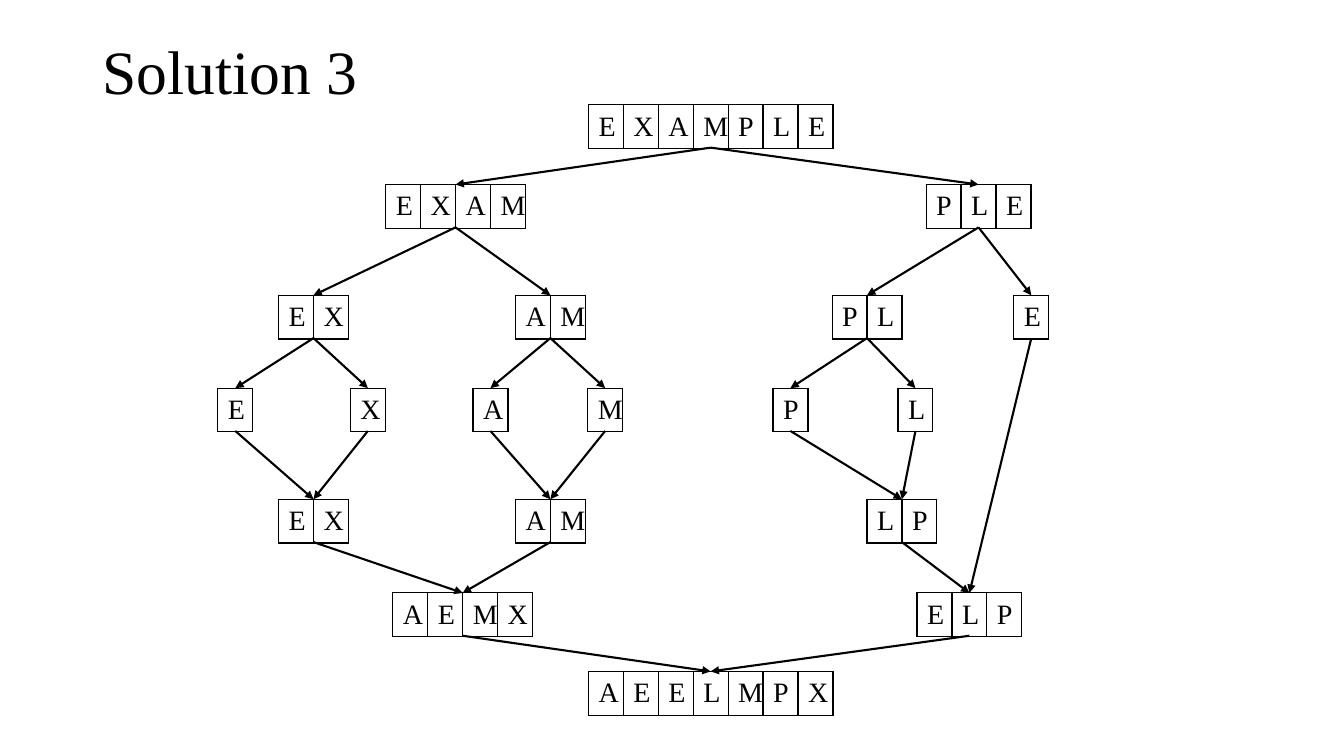
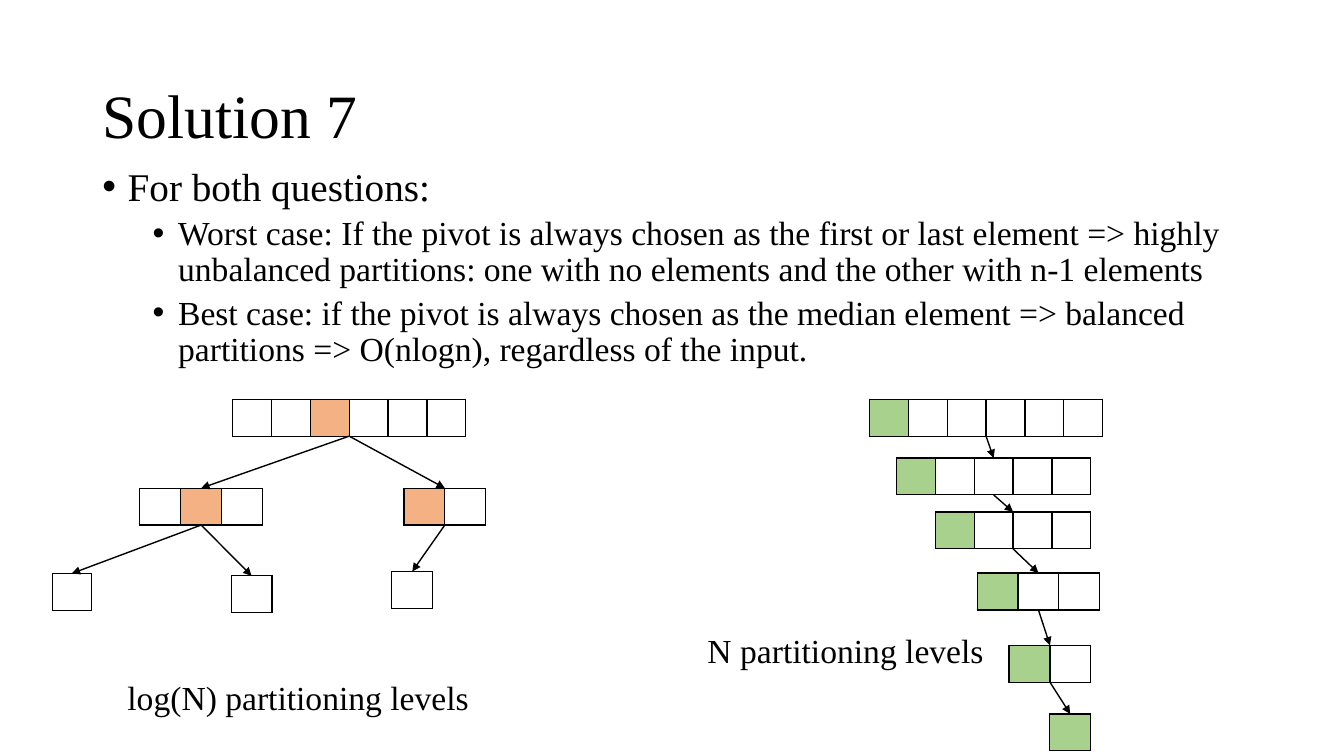
from lxml.etree import SubElement
from pptx import Presentation
from pptx.dml.color import RGBColor
from pptx.enum.shapes import MSO_CONNECTOR
from pptx.enum.text import MSO_ANCHOR, PP_ALIGN
from pptx.oxml.ns import qn
from pptx.util import Cm, Pt

COLORS = {"ink": "000000", "median": "F4B183", "first": "A9D18E"}
FONT = "Times New Roman"
LEFT, WIDTH = 2.33, 29.21  # text column shared by titles and body
PIVOT = "*"


def paint(name):
    return RGBColor.from_string(COLORS[name])


def write(para, text, size=20, align=PP_ALIGN.LEFT, spacing=1, before=0,
          level=0, bullet=False):
    """Fill one paragraph with formatted text."""
    run = para.add_run()
    run.text = text
    run.font.size, run.font.name = Pt(size), FONT
    run.font.color.rgb = paint("ink")
    para.alignment, para.level = align, level
    para.line_spacing, para.space_before = spacing, Pt(before)
    if bullet:
        props = para._p.get_or_add_pPr()
        props.set("marL", str(Cm(0.64 + 1.27 * level)))
        props.set("indent", str(Cm(-0.64)))
        SubElement(props, qn("a:buFont"), typeface="Arial")
        SubElement(props, qn("a:buChar"), char="•")


def textbox(slide, left, top, width, height, wrap=True, anchor=MSO_ANCHOR.TOP):
    frame = slide.shapes.add_textbox(
        Cm(left), Cm(top), Cm(width), Cm(height)).text_frame
    frame.word_wrap, frame.vertical_anchor = wrap, anchor
    return frame


def title(slide, text, top):
    frame = textbox(slide, LEFT, top, WIDTH, 3.68, anchor=MSO_ANCHOR.MIDDLE)
    write(frame.paragraphs[0], text, size=44, spacing=0.9)


def label(slide, text, left, top, width):
    frame = textbox(slide, left, top, width, 1.27, wrap=False)
    write(frame.paragraphs[0], text, size=24, align=PP_ALIGN.CENTER)


def bullets(slide, top, height, items):
    frame = textbox(slide, LEFT, top, WIDTH, height)
    for i, (level, text) in enumerate(items):
        para = frame.add_paragraph() if i else frame.paragraphs[0]
        write(para, text, size=24 if level else 28, spacing=0.9,
              before=5 if level else 10, level=level, bullet=True)


def outline(cell):
    props = cell._tc.get_or_add_tcPr()
    for side in ("lnL", "lnR", "lnT", "lnB"):
        line = SubElement(props, qn("a:" + side), w=str(Pt(1)))
        fill = SubElement(line, qn("a:solidFill"))
        SubElement(fill, qn("a:srgbClr"), val=COLORS["ink"])


def array(slide, center, top, cells, width, height, pivot):
    """Draw a one-row table; PIVOT marks the filled cell, a space an empty one."""
    count = len(cells)
    table = slide.shapes.add_table(
        1, count, Cm(center - count * width / 2), Cm(top),
        Cm(count * width), Cm(height)).table
    table.first_row = table.horz_banding = False
    table.rows[0].height = Cm(height)
    for i, mark in enumerate(cells):
        table.columns[i].width = Cm(width)
        cell = table.cell(0, i)
        cell.vertical_anchor = MSO_ANCHOR.MIDDLE
        outline(cell)
        if mark == PIVOT:
            cell.fill.solid()
            cell.fill.fore_color.rgb = paint(pivot)
        else:
            cell.fill.background()
        if mark.isalpha():
            write(cell.text_frame.paragraphs[0], mark, align=PP_ALIGN.CENTER)
        else:
            cell.margin_top = cell.margin_bottom = 0


def arrow(slide, start, end, weight):
    link = slide.shapes.add_connector(
        MSO_CONNECTOR.STRAIGHT, *(Cm(v) for v in (*start, *end)))
    link.line.width = Pt(weight)
    link.line.color.rgb = paint("ink")
    SubElement(link.line._get_or_add_ln(), qn("a:tailEnd"), type="triangle")
    SubElement(link._element.spPr, qn("a:effectLst"))


def tree(slide, left, top, nodes, links, height, weight, pivot=None):
    """Place nodes (center, top, cells, cell width) and link them by key."""
    for x, y, cells, width in nodes.values():
        array(slide, left + x, top + y, cells, width, height, pivot)
    for source, targets in links.items():
        x, y = nodes[source][:2]
        for target in targets.split():
            end = nodes[target]
            arrow(slide, (left + x, top + y + height),
                  (left + end[0], top + end[1]), weight)


def sorting(slide):
    title(slide, "Solution 3", 0.05)
    levels = [  # top, then key, center and letters of each array
        (0, [("root", 12.42, "EXAMPLE")]),
        (2.01, [("exam", 5.99, "EXAM"), ("ple", 19.17, "PLE")]),
        (4.8, [("ex", 2.41, "EX"), ("am", 8.38, "AM"),
               ("pl", 16.36, "PL"), ("e2", 20.5, "E")]),
        (7.14, [("e", 0.44, "E"), ("x", 3.78, "X"), ("a", 6.87, "A"),
                ("m", 9.76, "M"), ("p", 14.43, "P"), ("l", 17.58, "L")]),
        (9.94, [("ex2", 2.41, "EX"), ("am2", 8.38, "AM"), ("lp", 17.24, "LP")]),
        (12.3, [("aemx", 6.17, "AEMX"), ("elp", 18.94, "ELP")]),
        (14.28, [("end", 12.42, "AEELMPX")]),
    ]
    nodes = {key: (x, y, cells, 0.88)
             for y, row in levels for key, x, cells in row}
    links = {
        "root": "exam ple", "exam": "ex am", "ple": "pl e2",
        "ex": "e x", "am": "a m", "pl": "p l",
        "e": "ex2", "x": "ex2", "a": "am2", "m": "am2", "p": "lp", "l": "lp",
        "ex2": "aemx", "am2": "aemx", "lp": "elp", "e2": "elp",
        "aemx": "end", "elp": "end",
    }
    tree(slide, 5.49, 2.64, nodes, links, height=1.08, weight=1.5)


def best(slide, left, top):
    nodes = {
        "root": (7.48, 0, "  *   ", 0.98),
        "low": (3.75, 2.24, " * ", 1.03),
        "high": (9.89, 2.24, "* ", 1.03),
        "one": (0.49, 4.39, " ", 0.98),
        "two": (5.02, 4.45, " ", 1.03),
        "three": (9.07, 4.34, " ", 1.03),
    }
    links = {"root": "low high", "low": "one two", "high": "three"}
    tree(slide, left, top, nodes, links, 0.93, 1, "median")
    label(slide, "log(N) partitioning levels", left + 1.6, top + 6.86, 9.19)


def worst(slide, left, top):
    spots = [(2.93, 0), (3.12, 1.48), (3.61, 2.84),
             (4.25, 4.38), (4.54, 6.2), (5.05, 7.93)]
    nodes = {str(i): (x, y, PIVOT.ljust(6 - i), 0.98 if i < 3 else 1.03)
             for i, (x, y) in enumerate(spots)}
    links = {str(i): str(i + 1) for i in range(5)}
    tree(slide, left, top, nodes, links, 0.93, 1, "first")
    label(slide, "N partitioning levels", left - 4.52, top + 5.69, 7.82)


def pivots(slide):
    title(slide, "Solution 7", 1.14)
    bullets(slide, 4.09, 13.06, [
        (0, "For both questions:"),
        (1, "Worst case: If the pivot is always chosen as the first or last "
            "element => highly unbalanced partitions: one with no elements "
            "and the other with n-1 elements"),
        (1, "Best case: if the pivot is always chosen as the median element "
            "=> balanced partitions => O(nlogn), regardless of the input."),
    ])
    best(slide, 1.32, 10.06)
    worst(slide, 21.92, 10.06)


def main():
    deck = Presentation()
    deck.slide_width, deck.slide_height = Cm(33.87), Cm(19.05)
    for build in (sorting, pivots):
        build(deck.slides.add_slide(deck.slide_layouts[6]))
    deck.save("out.pptx")


if __name__ == "__main__":
    main()
